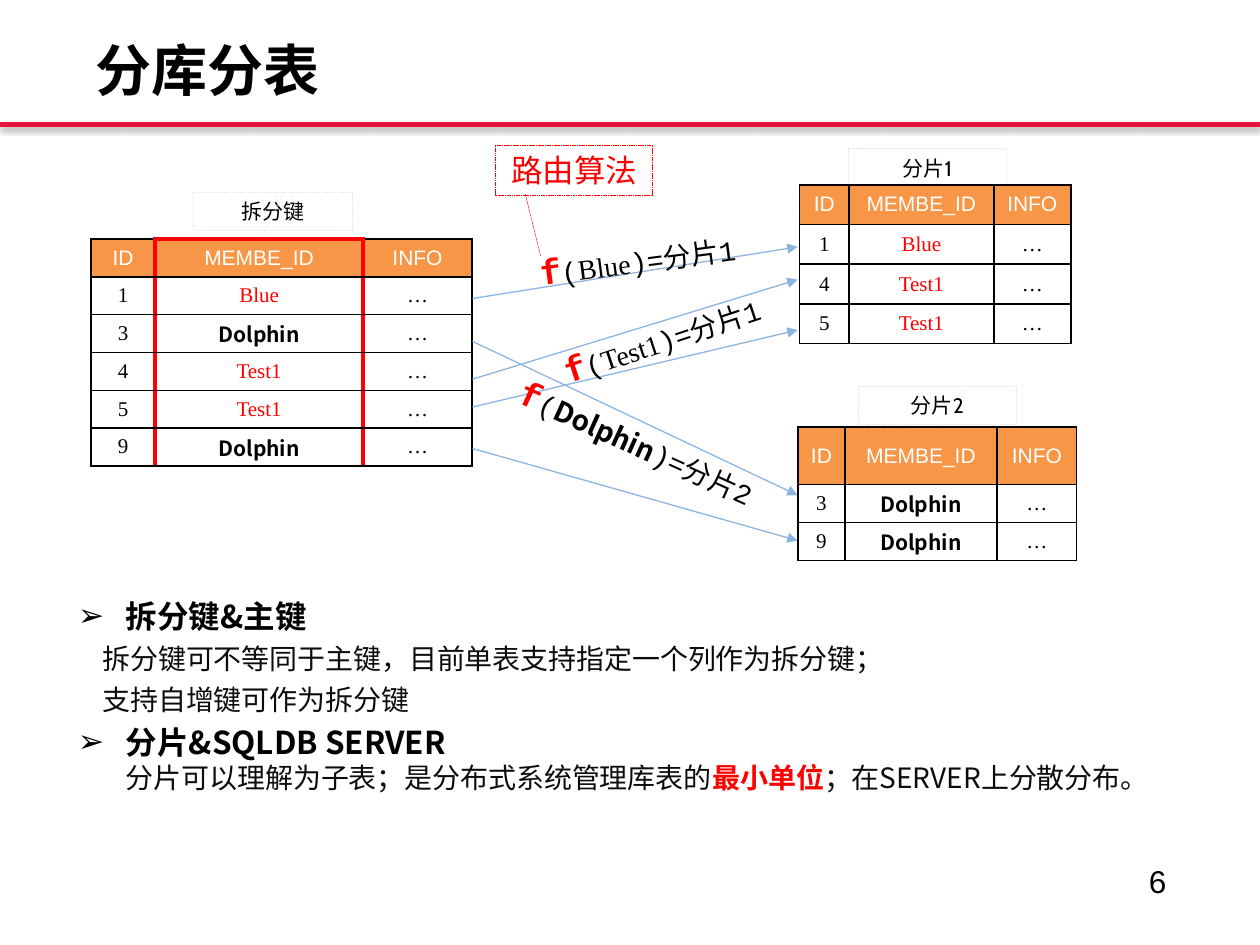
from lxml import etree
from pptx import Presentation
from pptx.dml.color import RGBColor
from pptx.enum import dml, shapes, text
from pptx.oxml import ns
from pptx.util import Pt

BLACK = RGBColor(0, 0, 0)
INK = RGBColor(0x0C, 0x0C, 0x0C)
WHITE = RGBColor(255, 255, 255)
RED = RGBColor(255, 0, 0)
CRIMSON = RGBColor(0xE3, 0x17, 0x3E)
ORANGE = RGBColor(0xF7, 0x96, 0x46)
CREAM = RGBColor(0xEE, 0xEC, 0xE1)
BLUE = RGBColor(0x8E, 0xB4, 0xE3)

SANS, SERIF, MONO = "Noto Sans CJK SC", "Times New Roman", "Courier New"
LABEL, HEAD = "Cabin", "Arial"
MID = text.PP_ALIGN.CENTER
THIN, THICK = (BLACK, 1), (RED, 3)


def sub(node, tag, **attrs):
    return etree.SubElement(node, ns.qn(tag), attrs)


class Board:
    """Holds the current slide and draws each kind of element on it."""

    def __init__(self, slide):
        self.slide = slide
        self.shapes = slide.shapes

    def style(self, font, face, size, color, bold=False):
        font.name, font.size, font.bold = face, Pt(size), bold
        font.color.rgb = color
        sub(font._element, "a:ea", typeface=SANS)

    def runs(self, para, parts):
        for words, *look in parts:
            run = para.add_run()
            run.text = words
            self.style(run.font, *look)

    def box(self, x, y, w, h, turn=0):
        box = self.shapes.add_textbox(Pt(x), Pt(y), Pt(w), Pt(h))
        box.rotation = turn
        box.text_frame.word_wrap = True
        return box.text_frame

    def line(self, x1, y1, x2, y2, color, width, dash=False, arrow=False):
        link = self.shapes.add_connector(
            shapes.MSO_CONNECTOR.STRAIGHT, Pt(x1), Pt(y1), Pt(x2), Pt(y2))
        link.line.color.rgb, link.line.width = color, Pt(width)
        if dash:
            link.line.dash_style = dml.MSO_LINE.SQUARE_DOT
        if arrow:
            sub(link.line._get_or_add_ln(), "a:tailEnd", type="triangle")
        return sub(link._element.spPr, "a:effectLst")

    def label(self, x, y, w, h, words, size, color, edge):
        rect = self.shapes.add_shape(
            shapes.MSO_SHAPE.RECTANGLE, Pt(x), Pt(y), Pt(w), Pt(h))
        rect.shadow.inherit = False
        rect.fill.background()
        rect.line.color.rgb, rect.line.width = edge, Pt(0.25)
        rect.line.dash_style = dml.MSO_LINE.SQUARE_DOT
        para = rect.text_frame.paragraphs[0]
        para.text, para.alignment = words, MID
        self.style(para.font, LABEL, size, color)

    def route(self, x, y, turn, key, look, shard):
        para = self.box(x, y, 187.2, 31, turn).paragraphs[0]
        para.alignment = MID
        self.runs(para, [("f", MONO, 20, RED, True), ("(", MONO, 16, BLACK),
                         (key, *look), (f")=分片{shard}", MONO, 16, BLACK)])

    def item(self, para, parts, left, bullet=False):
        para.space_before = Pt(3.9)
        props = para._p.get_or_add_pPr()
        props.set("marL", str(Pt(left)))
        props.set("indent", str(-Pt(left) if bullet else 0))
        if bullet:
            sub(props, "a:buFont", typeface=HEAD)
            sub(props, "a:buChar", char="➢")
        self.runs(para, parts)

    def edge(self, cell, sides):
        props = cell._tc.get_or_add_tcPr()
        for side, (color, width) in zip("LRTB", sides):
            ln = sub(props, f"a:ln{side}", w=str(Pt(width)))
            sub(sub(ln, "a:solidFill"), "a:srgbClr", val=str(color))

    def cell(self, cell, words, look, fill, sides):
        self.edge(cell, sides)
        cell.fill.solid()
        cell.fill.fore_color.rgb = fill
        cell.margin_left = cell.margin_right = 0
        cell.margin_top = cell.margin_bottom = 0
        cell.vertical_anchor = text.MSO_ANCHOR.MIDDLE
        para = cell.text_frame.paragraphs[0]
        para.text, para.alignment, para.space_before = words, MID, Pt(2.4)
        self.style(para.font, *look)

    def table(self, x, y, cols, rows, data, key=False):
        """Draw ID / key / INFO rows; key=True frames the middle column."""
        table = self.shapes.add_table(
            len(rows), 3, Pt(x), Pt(y), Pt(sum(cols)), Pt(sum(rows))).table
        table.first_row = table.horz_banding = False
        for col, wide in zip(table.columns, cols):
            col.width = Pt(wide)
        for row, high in zip(table.rows, rows):
            row.height = Pt(high)
        lines = [("ID", "MEMBE_ID", "INFO")] + [(*d, "…") for d in data]
        for r, line in enumerate(lines):
            for c, words in enumerate(line):
                look = (SERIF, 12, RED if c == 1 else BLACK)
                if r == 0:
                    look = (HEAD, 12, WHITE)
                elif words == "Dolphin":
                    look = (SANS, 12, BLACK, True)
                sides = (THICK if key and c > 0 else THIN,
                         THICK if key and c < 2 else THIN,
                         THICK if key and c == 1 and r == 0 else THIN, THIN)
                self.cell(table.cell(r, c), words, look,
                          WHITE if r else ORANGE, sides)


def main():
    deck = Presentation()
    deck.slide_width, deck.slide_height = Pt(720), Pt(540)
    board = Board(deck.slides.add_slide(deck.slide_layouts[6]))

    # Header rule with its soft shadow, title and page number
    glow = board.line(0, 71.3, 720, 71.3, CRIMSON, 3)
    shade = sub(glow, "a:outerShdw", blurRad=str(Pt(3.1)), dist=str(Pt(1.8)),
                dir="5400000", rotWithShape="0")
    sub(sub(shade, "a:srgbClr", val="000000"), "a:alpha", val="35000")
    title = board.box(47.5, 20.9, 391.7, 42.5).paragraphs[0]
    title.text, title.line_spacing = "分库分表", 0.9
    board.style(title.font, SANS, 32, BLACK, True)
    page = board.box(649.4, 488.9, 25.2, 28.8)
    page.word_wrap = False
    page.paragraphs[0].text = "6"
    board.style(page.paragraphs[0].font, HEAD, 18, BLACK)

    # Source table and labels
    board.table(52, 136.6, (36.7, 118.8, 62.3), [21.6] * 6,
                [("1", "Blue"), ("3", "Dolphin"), ("4", "Test1"),
                 ("5", "Test1"), ("9", "Dolphin")], key=True)
    for x, y, words in ((484.6, 85, "分片1"), (490.3, 221, "分片2"),
                        (110.5, 110, "拆分键")):
        board.label(x, y, 90.7, 21.6, words, 12, BLACK, CREAM)
    board.line(162, 110.9, 149.8, 134.6, CREAM, 0.25, dash=True)

    # Arrows from source rows to shards
    for start, end in ((170.6, 141.1), (195.1, 283), (216.7, 159.8),
                       (256.3, 308.9), (232.6, 188.6)):
        board.line(270, start, 455.8, end, BLUE, 0.75, arrow=True)

    # Routing function
    plain, heavy = (SERIF, 16, BLACK), (SANS, 16, BLACK, True)
    board.route(270.7, 132.5, -7.5, "Blue", plain, 1)
    board.route(284.4, 177.8, -18.4, "Test1", plain, 1)
    board.route(270.7, 236.9, 24.3, "Dolphin", heavy, 2)
    board.label(283, 82.8, 90, 28.8, "路由算法", 18, RED, RED)
    board.line(300.2, 110.9, 308.9, 146.2, RED, 0.25, dash=True)

    # Shard tables
    board.table(456, 244, (26.8, 87, 45.5), (33, 21.6, 21.6),
                [("3", "Dolphin"), ("9", "Dolphin")])
    board.table(457, 105.6, (28.1, 82.8, 44), [22.7] * 4,
                [("1", "Blue"), ("4", "Test1"), ("5", "Test1")])

    # Explanations
    head, body = (SANS, 18, BLACK, True), (SANS, 16, INK)
    frame = board.box(37.4, 326.9, 651.6, 164.2)
    first = frame.paragraphs[0]
    first.line_spacing = 1.5
    board.item(first, [("拆分键&主键", *head)], 27.4, bullet=True)
    for words in ("拆分键可不等同于主键，目前单表支持指定一个列作为拆分键；",
                  "支持自增键可作为拆分键"):
        board.item(frame.add_paragraph(), [(words, *body)], 14)
    last = frame.add_paragraph()
    board.item(last, [("分片&SQLDB SERVER", *head)], 27.4, bullet=True)
    last.add_line_break()
    board.runs(last, [("分片可以理解为子表；是分布式系统管理库表的", *body),
                      ("最小单位", SANS, 16, RED, True),
                      ("；在SERVER上分散分布。", *body)])

    deck.save("out.pptx")


if __name__ == "__main__":
    main()
